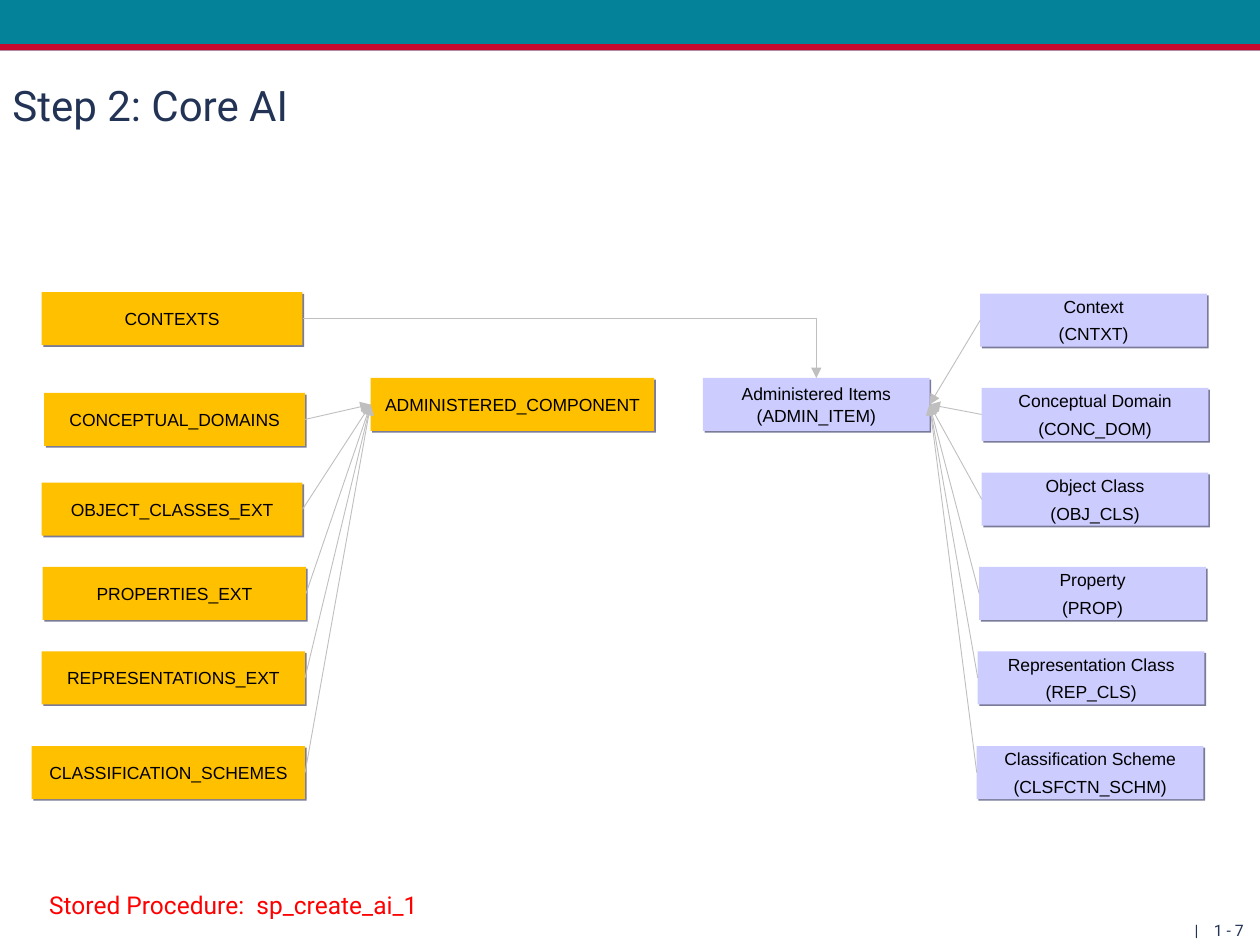
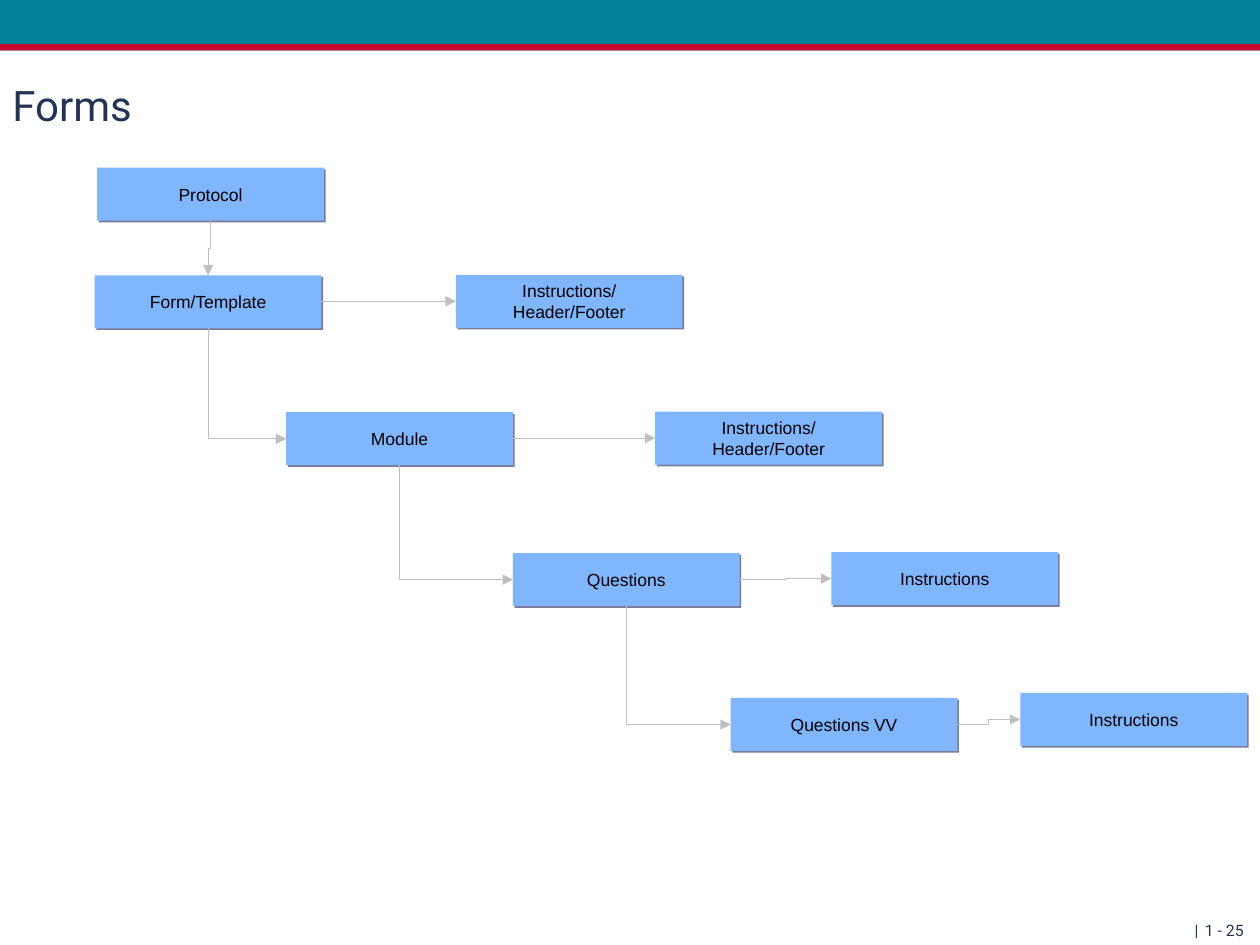
from lxml.etree import SubElement
from pptx import Presentation
from pptx.dml.color import RGBColor
from pptx.enum.shapes import MSO_CONNECTOR, MSO_SHAPE
from pptx.enum.text import MSO_ANCHOR, PP_ALIGN
from pptx.oxml.ns import qn
from pptx.util import Cm, Pt

TEAL = RGBColor(0x03, 0x82, 0x99)
RED = RGBColor(0xC6, 0x09, 0x2D)
NAVY = RGBColor(0x23, 0x33, 0x56)
AMBER = RGBColor(0xFF, 0xC0, 0x00)
LILAC = RGBColor(0xCC, 0xCC, 0xFF)
SKY = RGBColor(0x7F, 0xB6, 0xFE)
GREY = RGBColor(0xBF, 0xBF, 0xBF)
BLACK = RGBColor(0x00, 0x00, 0x00)
NOTE_RED = RGBColor(0xFF, 0x00, 0x00)
SHADOW = RGBColor(0x7A, 0x7A, 0x99)

SLIDE_WIDTH, SLIDE_HEIGHT = 25.4, 19.05
BOX_WIDTH, BOX_HEIGHT = 4.57, 1.07
TOP, LEFT, BOTTOM, RIGHT = range(4)  # connection sites of a rectangle

TITLE_FONT = {"name": "Roboto", "size": Pt(24)}
FOOTER_FONT = {"name": "Roboto", "size": Pt(9)}
NOTE_FONT = {"name": "Roboto", "size": Pt(14)}
BOX_FONT = {"name": "Arial", "size": Pt(10)}
BOX_FRAME = {"word_wrap": True, "vertical_anchor": MSO_ANCHOR.MIDDLE}

# Bands: top, height, colour
BANDS = [(0, 1.02, TEAL), (0.89, 0.13, RED)]

# Boxes: text, left, top[, width]
CONTEXTS = ("CONTEXTS", 0.84, 5.89, 5.26)
SOURCE_TABLES = [
    ("CONCEPTUAL_DOMAINS", 0.89, 7.92, 5.26),
    ("OBJECT_CLASSES_EXT", 0.84, 9.73, 5.26),
    ("PROPERTIES_EXT", 0.86, 11.43, 5.31),
    ("REPRESENTATIONS_EXT", 0.84, 13.13, 5.31),
    ("CLASSIFICATION_SCHEMES", 0.64, 15.04, 5.51),
]
ADMINISTERED_COMPONENT = ("ADMINISTERED_COMPONENT", 7.47, 7.62, 5.72)
ADMIN_ITEM = ("Administered Items (ADMIN_ITEM)", 14.17, 7.62)
ITEM_TYPES = [
    ("Context\n(CNTXT)", 19.76, 5.92),
    ("Conceptual Domain\n(CONC_DOM)", 19.79, 7.82),
    ("Object Class\n(OBJ_CLS)", 19.79, 9.53),
    ("Property\n(PROP)", 19.74, 11.43),
    ("Representation Class\n(REP_CLS)", 19.71, 13.13),
    ("Classification Scheme\n(CLSFCTN_SCHM)", 19.69, 15.04),
]
STORED_PROCEDURE = "Stored Procedure:  sp_create_ai_1"

PROTOCOL = ("Protocol", 1.96, 3.38)
# Each level of a form with the instructions beside it
FORM_LEVELS = [
    (("Form/Template", 1.91, 5.55), ("Instructions/\vHeader/Footer", 9.19, 5.54)),
    (("Module", 5.77, 8.31), ("Instructions/\vHeader/Footer", 13.21, 8.3)),
    (("Questions", 10.34, 11.15), ("Instructions", 16.76, 11.13)),
    (("Questions VV", 14.73, 14.07), ("Instructions", 20.57, 13.97)),
]


def apply(target, values):
    for name, value in values.items():
        setattr(target, name, value)


def write(frame, text, font, color, **paragraph_format):
    frame.text = text
    for paragraph in frame.paragraphs:
        apply(paragraph, paragraph_format)
        apply(paragraph.font, font)
        paragraph.font.color.rgb = color


def add_text(slide, text, area, font, color, frame_format, **paragraph_format):
    frame = slide.shapes.add_textbox(*map(Cm, area)).text_frame
    apply(frame, frame_format)
    write(frame, text, font, color, **paragraph_format)


def add_rectangle(slide, left, top, width, height, color):
    rectangle = slide.shapes.add_shape(
        MSO_SHAPE.RECTANGLE, Cm(left), Cm(top), Cm(width), Cm(height))
    rectangle.shadow.inherit = False
    rectangle.fill.solid()
    rectangle.fill.fore_color.rgb = color
    rectangle.line.fill.background()
    return rectangle


def add_box(slide, color, text, left, top, width=BOX_WIDTH):
    box = add_rectangle(slide, left, top, width, BOX_HEIGHT, color)
    effects = box._element.spPr.find(qn("a:effectLst"))
    shadow = SubElement(effects, qn("a:outerShdw"), dist=str(Pt(1.4)),
                        dir="2700000", algn="ctr", rotWithShape="0")
    SubElement(shadow, qn("a:srgbClr"), val=str(SHADOW))
    apply(box.text_frame, BOX_FRAME)
    write(box.text_frame, text, BOX_FONT, BLACK, alignment=PP_ALIGN.CENTER)
    for paragraph in box.text_frame.paragraphs[1:]:
        paragraph.space_before = Pt(3.7)
    return box


def add_arrow(slide, start, start_site, end, end_site, kind=MSO_CONNECTOR.ELBOW):
    arrow = slide.shapes.add_connector(kind, 0, 0, 0, 0)
    arrow.begin_connect(start, start_site)
    arrow.end_connect(end, end_site)
    arrow.line.color.rgb = GREY
    arrow.line.width = Pt(0.5)
    properties = arrow._element.spPr
    SubElement(properties.find(qn("a:ln")), qn("a:tailEnd"), type="triangle")
    SubElement(properties, qn("a:effectLst"))
    return arrow


def make_single_bend(arrow):
    arrow._element.spPr.find(qn("a:prstGeom")).set("prst", "bentConnector2")


def turn_downward(arrow, rotation, flip):
    """Rotate an elbow arrow so that it leaves its start box downward."""
    middle_x = (arrow.begin_x + arrow.end_x) // 2
    middle_y = (arrow.begin_y + arrow.end_y) // 2
    width, height = arrow.height, arrow.width
    apply(arrow, {"left": middle_x - width // 2, "top": middle_y - height // 2,
                  "width": width, "height": height})
    transform = arrow._element.spPr.find(qn("a:xfrm"))
    transform.set("rot", str(rotation * 60000))
    transform.set("flipH", str(int(flip)))


def add_slide(deck, title, page):
    slide = deck.slides.add_slide(deck.slide_layouts[6])
    for top, height, color in BANDS:
        add_rectangle(slide, 0, top, SLIDE_WIDTH, height, color)
    add_text(slide, title, (0, 1.24, 22.86, 1.75), TITLE_FONT, NAVY, BOX_FRAME)
    for text, left, width in [(page, 8.94, 16.38), ("|", 19.43, 4.98)]:
        add_text(slide, text, (left, 18.36, width, 0.69), FOOTER_FONT, NAVY,
                 {"word_wrap": True}, alignment=PP_ALIGN.RIGHT, line_spacing=1.2)
    return slide


def add_core_slide(deck):
    slide = add_slide(deck, "Step 2: Core AI", "1 - 7")
    contexts = add_box(slide, AMBER, *CONTEXTS)
    component = add_box(slide, AMBER, *ADMINISTERED_COMPONENT)
    admin_item = add_box(slide, LILAC, *ADMIN_ITEM)
    sources = [add_box(slide, AMBER, *table) for table in SOURCE_TABLES]
    item_types = [add_box(slide, LILAC, *item) for item in ITEM_TYPES]

    make_single_bend(add_arrow(slide, contexts, RIGHT, admin_item, TOP))
    for source in sources:
        add_arrow(slide, source, RIGHT, component, LEFT, MSO_CONNECTOR.STRAIGHT)
    for item_type in item_types:
        add_arrow(slide, item_type, LEFT, admin_item, RIGHT, MSO_CONNECTOR.STRAIGHT)
    add_text(slide, STORED_PROCEDURE, (0.74, 17.81, 8.33, 0.86), NOTE_FONT,
             NOTE_RED, {"word_wrap": False})


def add_forms_slide(deck):
    slide = add_slide(deck, "Forms", "1 - 25")
    protocol = add_box(slide, SKY, *PROTOCOL)
    levels = []
    for level, instructions in FORM_LEVELS:
        levels.append(add_box(slide, SKY, *level))
        beside = add_box(slide, SKY, *instructions)
        add_arrow(slide, levels[-1], RIGHT, beside, LEFT)

    turn_downward(add_arrow(slide, protocol, BOTTOM, levels[0], TOP), 90, False)
    for upper, lower in zip(levels, levels[1:]):
        arrow = add_arrow(slide, upper, BOTTOM, lower, LEFT)
        make_single_bend(arrow)
        turn_downward(arrow, 270, True)


def main():
    deck = Presentation()
    apply(deck, {"slide_width": Cm(SLIDE_WIDTH), "slide_height": Cm(SLIDE_HEIGHT)})
    add_core_slide(deck)
    add_forms_slide(deck)
    deck.save("out.pptx")


if __name__ == "__main__":
    main()
